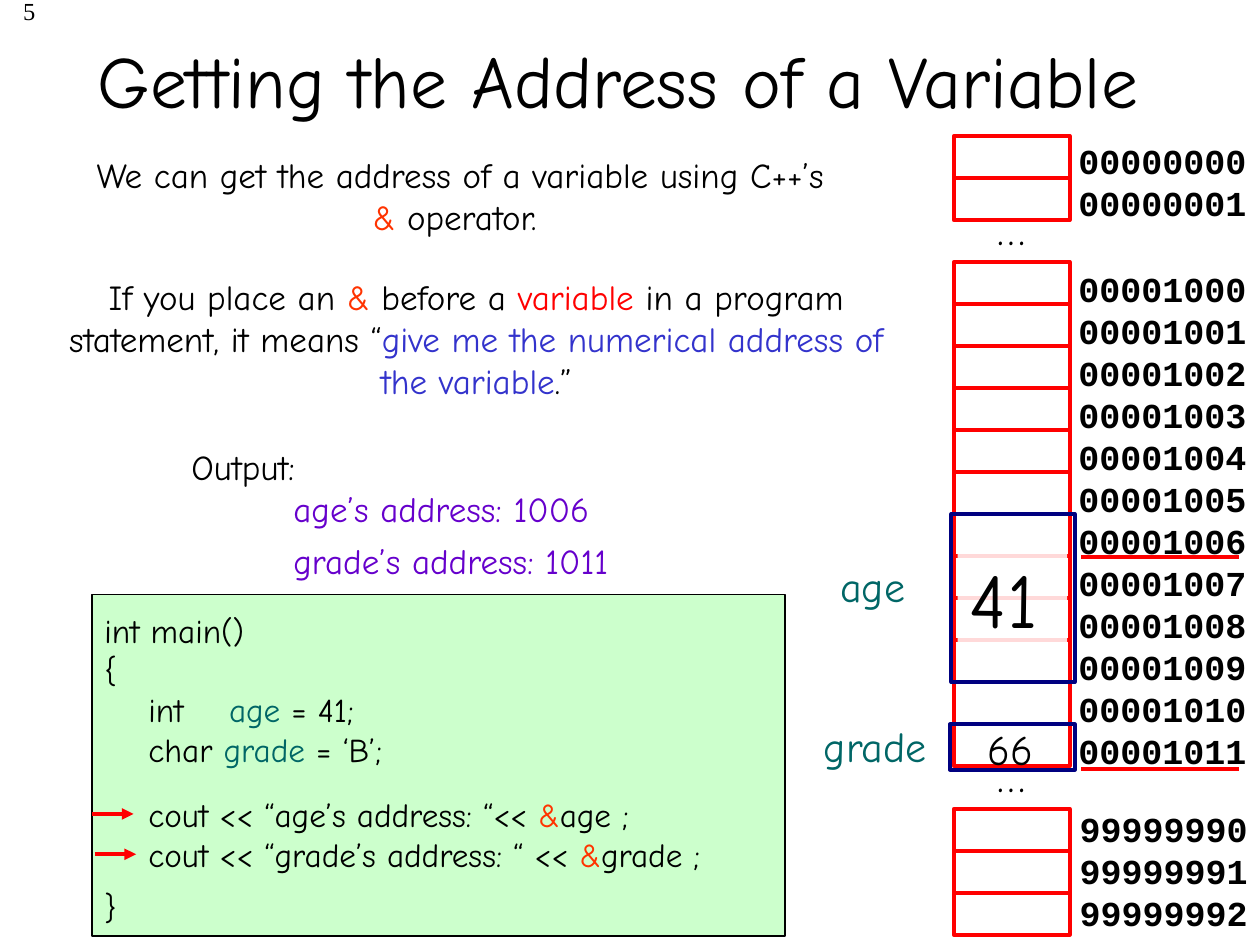
from dataclasses import dataclass

from lxml.etree import SubElement
from pptx import Presentation
from pptx.dml.color import RGBColor
from pptx.enum.shapes import MSO_CONNECTOR, MSO_SHAPE
from pptx.enum.text import MSO_ANCHOR, PP_ALIGN
from pptx.oxml.ns import qn
from pptx.util import Inches, Pt


@dataclass(frozen=True)
class Theme:
    font: str = "Comic Neue"
    mono: str = "Courier New"
    serif: str = "Times New Roman"
    black: str = "000000"
    white: str = "FFFFFF"
    red: str = "FF0000"
    orange: str = "FF3300"
    blue: str = "3333CC"
    navy: str = "000080"
    teal: str = "006666"
    purple: str = "6600CC"
    green: str = "CCFFCC"
    title: int = 42
    value: int = 44
    label: int = 24
    body: int = 20
    code: int = 19
    number: int = 14
    line: float = 2.25


T = Theme()

TITLE = "Getting the Address of a Variable "
INTRO = [["We can get the address of a variable using C++’s ", ("&", T.orange), " operator. "]]
MEANING = [["If you place an ", ("&", T.orange), " before a ", ("variable", T.red),
            " in a program statement, it means “",
            ("give me the numerical address of the variable", T.blue), ".”"]]
OUTPUT = ["age’s address: 1006", "grade’s address: 1011"]
CODE = [
    ["int main()"],
    ["{"],
    ["\tint\t", ("age", T.teal), " = 41;"],
    ["\tchar ", ("grade", T.teal), " = ‘B’;"],
    ["\tcout << “age’s address: “<< ", ("&", T.orange), "age ;"],
    ["\tcout << “grade’s address: “ << ", ("&", T.orange), "grade ;"],
    ["}"],
]
CODE_GAPS = {4: 14, 6: 7}
CODE_TABS = (0.35, 0.99)
MEMORY = [
    (1.08, 8.46, 1.06, ["00000000", "00000001"]),
    (2.08, 8.46, 2.07, [f"{n:08d}" for n in range(1000, 1012)]),
    (6.42, 8.47, 6.36, ["99999990", "99999991", "99999992"]),
]
ELLIPSES = (1.57, 5.91)
CELL_X, CELL_W, CELL_H = 7.57, 0.92, 1 / 3

prs = Presentation()
prs.slide_width, prs.slide_height = Inches(10), Inches(7.5)
s = prs.slides.add_slide(prs.slide_layouts[5])


def rgb(color):
    return RGBColor.from_string(color)


def write(tf, lines, size, color=T.black, font=T.font, align=PP_ALIGN.LEFT, bold=False):
    for i, line in enumerate(lines):
        p = tf.paragraphs[0] if i == 0 else tf.add_paragraph()
        p.alignment = align
        for part in line:
            words, tint = part if isinstance(part, tuple) else (part, color)
            r = p.add_run()
            r.text = words
            r.font.name, r.font.size, r.font.bold = font, Pt(size), bold
            r.font.color.rgb = rgb(tint)


def text(x, y, w, h, lines, size, wrap=True, **style):
    tf = s.shapes.add_textbox(*map(Inches, (x, y, w, h))).text_frame
    tf.word_wrap = wrap
    write(tf, lines, size, **style)
    return tf


def box(x, y, w, h, line=None, fill=None, width=T.line):
    sp = s.shapes.add_shape(MSO_SHAPE.RECTANGLE, *map(Inches, (x, y, w, h)))
    sp.shadow.inherit = False
    if fill:
        sp.fill.solid()
        sp.fill.fore_color.rgb = rgb(fill)
    else:
        sp.fill.background()
    if line:
        sp.line.color.rgb = rgb(line)
        sp.line.width = Pt(width)
    else:
        sp.line.fill.background()
    return sp


def red_line(x1, x2, y, arrow=False):
    c = s.shapes.add_connector(MSO_CONNECTOR.STRAIGHT, *map(Inches, (x1, y, x2, y)))
    c.line.color.rgb = rgb(T.red)
    c.line.width = Pt(T.line)
    if arrow:
        SubElement(c.line._get_or_add_ln(), qn("a:tailEnd"), type="triangle", w="med", len="med")
    SubElement(c._element.spPr, qn("a:effectLst"))


def code_listing():
    tf = box(0.73, 4.72, 5.5, 2.71, T.black, T.green, 0.75).text_frame
    tf.vertical_anchor = MSO_ANCHOR.TOP
    tf.margin_top = Inches(0.12)
    write(tf, CODE, T.code)
    for i, p in enumerate(tf.paragraphs):
        if i in CODE_GAPS:
            p.space_before = Pt(CODE_GAPS[i])
        tabs = SubElement(p._p.get_or_add_pPr(), qn("a:tabLst"))
        for pos in CODE_TABS:
            SubElement(tabs, qn("a:tab"), pos=str(Inches(pos)), algn="l")
    for x, y in ((0.73, 6.46), (0.75, 6.78)):
        red_line(x, x + 0.33, y, arrow=True)


def memory():
    for top, x, y, addresses in MEMORY:
        for i in range(len(addresses)):
            box(CELL_X, top + i * CELL_H, CELL_W, CELL_H, T.red)
        tf = text(x, y, 1.53, len(addresses) * CELL_H + 0.1,
                  [[a] for a in addresses], T.body, font=T.mono, bold=True)
        tf.margin_right = 0
        for p in tf.paragraphs:
            p.line_spacing = Pt(24)
    for y in ELLIPSES:
        text(7.82, y, 0.43, 0.5, [["…"]], T.label, wrap=False)


def variables():
    text(6.57, 4.4, 1, 0.51, [["age"]], T.label, color=T.teal)
    box(7.55, 4.08, 0.98, 4 * CELL_H, T.navy)
    value = box(7.6, 4.33, 0.87, 0.83, fill=T.white)
    SubElement(value.fill._xPr.find(".//" + qn("a:srgbClr")), qn("a:alpha"), val="85000")
    value.text_frame.vertical_anchor = MSO_ANCHOR.TOP
    value.text_frame.word_wrap = False
    write(value.text_frame, [["41"]], T.value)

    text(6.44, 5.67, 1.1, 0.51, [["grade"]], T.label, color=T.teal)
    box(7.54, 5.75, 0.99, 0.36, T.navy)
    text(7.74, 5.69, 0.61, 0.5, [["66"]], T.label, wrap=False)
    for y in (4.42, 6.1):
        red_line(8.58, 9.83, y)


title = s.shapes.title
title.left, title.top, title.width, title.height = map(Inches, (0.11, 0, 9.78, 1.25))
title.text_frame.vertical_anchor = MSO_ANCHOR.MIDDLE
write(title.text_frame, [[TITLE]], T.title, align=PP_ALIGN.CENTER)

text(0, -0.08, 0.38, 0.5, [["5"]], T.number, font=T.serif, align=PP_ALIGN.RIGHT)
text(0.58, 1.17, 6.15, 0.77, INTRO, T.body, align=PP_ALIGN.CENTER)
text(0.39, 2.14, 6.78, 1.11, MEANING, T.body, align=PP_ALIGN.CENTER)
text(1.32, 3.49, 1.22, 0.44, [["Output:"]], T.body, wrap=False, align=PP_ALIGN.CENTER)
for i, line in enumerate(OUTPUT):
    text(2.23, 3.82 + i * 0.41, 4.02, 0.44, [[line]], T.body, color=T.purple)
code_listing()
memory()
variables()

prs.save("out.pptx")
